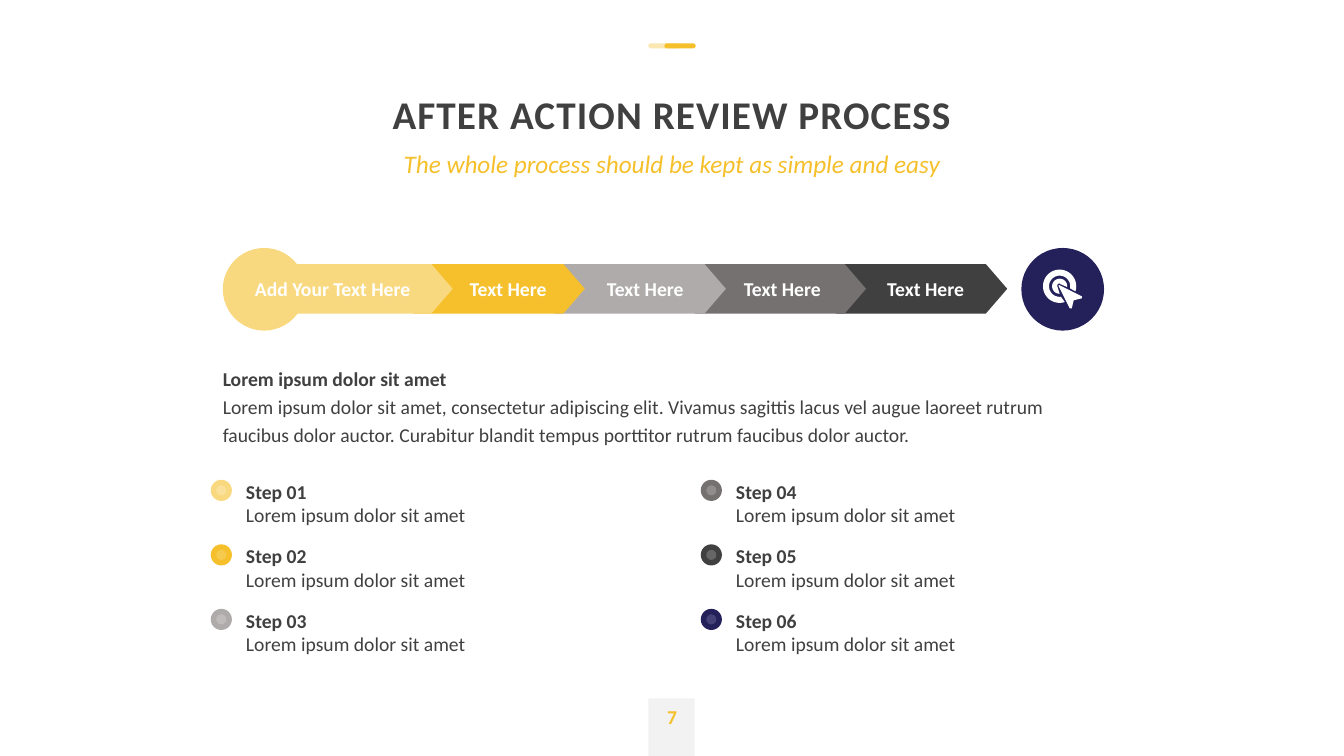
"""Build the After Action Review process slide."""
from math import cos, radians, sin

from lxml.etree import SubElement
from pptx import Presentation
from pptx.dml.color import RGBColor
from pptx.enum.shapes import MSO_SHAPE
from pptx.enum.text import MSO_ANCHOR, PP_ALIGN
from pptx.oxml.ns import qn
from pptx.util import Inches, Pt

THEME = {
    "font": "Calibri",
    "title": 28, "subtitle": 18, "body": 14,
    "dark": "404040", "white": "FFFFFF", "panel": "F2F2F2",
    "pale": "F9D980", "bar": "FAE098", "gold": "F5C02B", "cream": "FDF2D5",
    "silver": "AFABAB", "gray": "767171", "navy": "23205A", "lilac": "C8C6EB",
}


def paint(shape, color, opacity=100):
    """Give a shape a flat fill without line or shadow."""
    shape.shadow.inherit = False
    shape.line.fill.background()
    shape.fill.solid()
    shape.fill.fore_color.rgb = RGBColor.from_string(THEME[color])
    if opacity < 100:
        solid = shape.fill._xPr.find(qn("a:solidFill"))
        SubElement(solid[0], qn("a:alpha")).set("val", str(opacity * 1000))
    return shape


def write(shape, lines, color="dark", size="body", align=PP_ALIGN.LEFT,
          anchor=MSO_ANCHOR.TOP, spacing=1.0, italic=False):
    """Write (text, bold) lines into a shape without margins."""
    frame = shape.text_frame
    frame_format = {"word_wrap": True, "vertical_anchor": anchor, "margin_left": 0,
                    "margin_right": 0, "margin_top": 0, "margin_bottom": 0}
    for name, value in frame_format.items():
        setattr(frame, name, value)
    for index, (text, bold) in enumerate(lines):
        paragraph = frame.add_paragraph() if index else frame.paragraphs[0]
        paragraph.alignment = align
        paragraph.line_spacing = spacing
        run = paragraph.add_run()
        run.text = text
        run.font.color.rgb = RGBColor.from_string(THEME[color])
        font_format = {"name": THEME["font"], "size": Pt(THEME[size]),
                       "bold": bold, "italic": italic}
        for name, value in font_format.items():
            setattr(run.font, name, value)


presentation = Presentation()
presentation.slide_width = Inches(13.33)
presentation.slide_height = Inches(7.5)
slide = presentation.slides.add_slide(presentation.slide_layouts[5])
shapes = slide.shapes

title = shapes.title
title_box = {"left": 0.76, "top": 0.48, "width": 11.81, "height": 0.89}
for name, value in title_box.items():
    setattr(title, name, Inches(value))
write(title, [("AFTER ACTION REVIEW PROCESS", True)], size="title",
      align=PP_ALIGN.CENTER, anchor=MSO_ANCHOR.BOTTOM, spacing=0.9)
title.text_frame.paragraphs[0].runs[0]._r.get_or_add_rPr().set("spc", "80")

for left, color, opacity in [(6.43, "bar", 75), (6.59, "gold", 100)]:
    accent = shapes.add_shape(MSO_SHAPE.ROUNDED_RECTANGLE, Inches(left), Inches(0.43),
                              Inches(0.31), Inches(0.05))
    accent.adjustments[0] = 0.5
    paint(accent, color, opacity)

subtitle = shapes.add_textbox(Inches(2.53), Inches(1.47), Inches(8.27), Inches(0.3))
write(subtitle, [("The whole process should be kept as simple and easy", False)],
      color="gold", size="subtitle", align=PP_ALIGN.CENTER, italic=True)

ARROWS = [
    (8.29, "dark", 8.69, 0.98, "Text Here"),
    (6.89, "gray", 7.27, 0.98, "Text Here"),
    (5.5, "silver", 5.91, 0.98, "Text Here"),
    (4.1, "gold", 4.55, 0.98, "Text Here"),
    (2.79, "pale", 2.41, 1.78, "Add Your Text Here"),
]
for left, color, label_left, label_width, text in ARROWS:
    arrow = shapes.add_shape(MSO_SHAPE.RIGHT_ARROW, Inches(left), Inches(2.62),
                             Inches(1.7), Inches(0.49))
    arrow.adjustments[0] = 1
    arrow.adjustments[1] = 0.432
    paint(arrow, color)
    if color == "pale":
        paint(shapes.add_shape(MSO_SHAPE.OVAL, Inches(2.21), Inches(2.46),
                               Inches(0.82), Inches(0.82)), color)
    label = shapes.add_shape(MSO_SHAPE.RECTANGLE, Inches(label_left), Inches(2.73),
                             Inches(label_width), Inches(0.27))
    write(paint(label, color), [(text, True)], color="white",
          align=PP_ALIGN.CENTER, anchor=MSO_ANCHOR.MIDDLE)

paint(shapes.add_shape(MSO_SHAPE.OVAL, Inches(10.13), Inches(2.46),
                       Inches(0.82), Inches(0.82)), "navy")
arcs = [[(10.51 + radius * cos(radians(angle)), 2.84 + radius * sin(radians(angle)))
         for angle in angles]
        for radius, angles in [(0.165, range(72, 379, 6)),
                               (0.105, range(371, 78, -6)),
                               (0.075, range(90, 369, 6))]]
target_ring = arcs[0] + arcs[1]
target_center = arcs[2] + [(10.52, 2.82), (10.505, 2.81), (10.49, 2.82),
                           (10.485, 2.835), (10.49, 2.85)]
pointer = [(10.51, 2.83), (10.73, 2.94), (10.73, 2.96), (10.65, 2.98),
           (10.63, 3.06), (10.61, 3.06), (10.5, 2.84), (10.5, 2.83)]
for outline in [target_center, target_ring, pointer]:
    points = [(Inches(x), Inches(y)) for x, y in outline]
    builder = shapes.build_freeform(*points[0])
    builder.add_line_segments(points[1:])
    paint(builder.convert_to_shape(), "white")

description = shapes.add_textbox(Inches(2.21), Inches(3.59), Inches(8.74), Inches(0.84))
write(description, [
    ("Lorem ipsum dolor sit amet", True),
    ("Lorem ipsum dolor sit amet, consectetur adipiscing elit. Vivamus sagittis lacus "
     "vel augue laoreet rutrum faucibus dolor auctor. Curabitur blandit tempus "
     "porttitor rutrum faucibus dolor auctor.", False),
], spacing=1.2)

STEPS = [("pale", "white"), ("gold", "cream"), ("silver", "white"),
         ("gray", "white"), ("dark", "white"), ("navy", "lilac")]
for index, (color, center_color) in enumerate(STEPS):
    column, row = divmod(index, 3)
    left = 2.09 + 4.86 * column
    top = 4.76 + 0.64 * row
    paint(shapes.add_shape(MSO_SHAPE.OVAL, Inches(left), Inches(top),
                           Inches(0.21), Inches(0.21)), color)
    paint(shapes.add_shape(MSO_SHAPE.OVAL, Inches(left + 0.055), Inches(top + 0.055),
                           Inches(0.1), Inches(0.1)), center_color, 20)
    step = shapes.add_textbox(Inches(left + 0.35), Inches(top), Inches(3.83), Inches(0.43))
    write(step, [(f"Step {index + 1:02}", True), ("Lorem ipsum dolor sit amet", False)])

paint(shapes.add_shape(MSO_SHAPE.RECTANGLE, Inches(6.43), Inches(6.93),
                       Inches(0.46), Inches(0.57)), "panel")
page_number = shapes.add_textbox(Inches(6.44), Inches(6.93), Inches(0.45), Inches(0.35))
write(page_number, [("7", True)], color="gold",
      align=PP_ALIGN.CENTER, anchor=MSO_ANCHOR.MIDDLE)

presentation.save("out.pptx")
